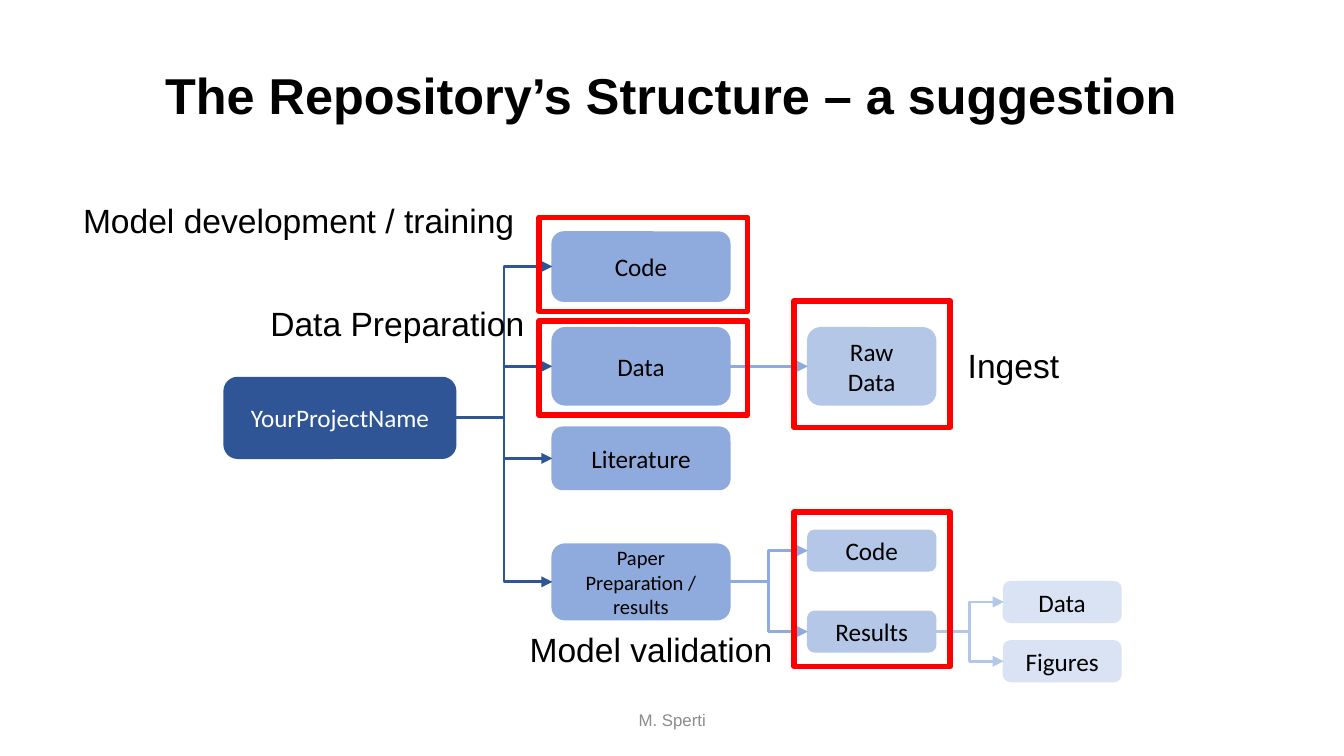
from lxml import etree
from pptx import Presentation
from pptx import util as u
from pptx.dml.color import RGBColor
from pptx.enum import shapes, text
from pptx.oxml.ns import qn

NAVY, BLUE, LIGHT, PALE = "2F5597", "8FAADC", "B4C7E7", "DAE3F3"
RED, BLACK, WHITE, GREY = "FF0000", "000000", "FFFFFF", "8C8C8C"

# Each level of the tree: left, width, colour
LEVELS = [
    (4.24, 4.37, NAVY),
    (10.44, 3.35, BLUE),
    (15.27, 2.41, LIGHT),
    (18.97, 2.21, PALE),
]

# key: label, level, top, height, parent
FOLDERS = {
    "project": ("YourProjectName", 0, 7.14, 1.52, None),
    "code": ("Code", 1, 4.39, 1.3, "project"),
    "data": ("Data", 1, 6.2, 1.45, "project"),
    "literature": ("Literature", 1, 8.08, 1.17, "project"),
    "paper": ("Paper Preparation / results", 1, 10.29, 1.42, "project"),
    "raw data": ("Raw Data", 2, 6.2, 1.45, "data"),
    "paper code": ("Code", 2, 10.03, 0.76, "paper"),
    "results": ("Results", 2, 11.56, 0.76, "paper"),
    "results data": ("Data", 3, 11, 0.76, "results"),
    "figures": ("Figures", 3, 12.12, 0.76, "results"),
}

HIGHLIGHTS = [
    (15.01, 5.69, 2.95, 2.39),
    (10.19, 6.07, 3.94, 1.78),
    (10.19, 4.11, 3.94, 1.78),
    (15.01, 9.68, 2.95, 2.92),
]

STAGES = [
    ("Ingest", 18.04, 6.4, 2.26),
    ("Data Preparation", 4.86, 5.6, 5.94),
    ("Model development / training", 1.32, 3.65, 9.45),
    ("Model validation", 9.76, 11.76, 5.2),
]


def rgb(colour):
    return RGBColor.from_string(colour)


def cm(*lengths):
    return [u.Cm(length) for length in lengths]


def write(shape, words, size=18, font="Arial", colour=BLACK, bold=False,
          align=text.PP_ALIGN.LEFT, anchor=text.MSO_ANCHOR.TOP):
    frame = shape.text_frame
    frame.word_wrap = True
    frame.vertical_anchor = anchor
    paragraph = frame.paragraphs[0]
    paragraph.alignment = align
    run = paragraph.add_run()
    run.text = words
    run.font.size = u.Pt(size)
    run.font.name = font
    run.font.bold = bold
    run.font.color.rgb = rgb(colour)


def add_label(slide, words, left, top, width, height=1.03, **style):
    box = slide.shapes.add_textbox(*cm(left, top, width, height))
    write(box, words, **style)


def add_folder(slide, label, level, top, height):
    left, width, colour = LEVELS[level]
    shape = slide.shapes.add_shape(
        shapes.MSO_SHAPE.ROUNDED_RECTANGLE, *cm(left, top, width, height))
    shape.shadow.inherit = False
    shape.fill.solid()
    shape.fill.fore_color.rgb = rgb(colour)
    shape.line.color.rgb = rgb(colour)
    shape.line.width = u.Pt(1)
    write(shape, label, font="Calibri",
          size=11 if len(label) > 20 else 13.5,
          colour=WHITE if colour == NAVY else BLACK,
          align=text.PP_ALIGN.CENTER, anchor=text.MSO_ANCHOR.MIDDLE)
    return shape


def add_branch(slide, parent, child, colour):
    """Arrow from the parent's right side to the child's left side."""
    level_with = parent.top == child.top and parent.height == child.height
    kind = shapes.MSO_CONNECTOR.STRAIGHT if level_with else shapes.MSO_CONNECTOR.ELBOW
    branch = slide.shapes.add_connector(kind, 0, 0, 0, 0)
    branch.begin_connect(parent, 3)
    branch.end_connect(child, 1)
    branch.line.color.rgb = rgb(colour)
    branch.line.width = u.Pt(1.5)
    etree.SubElement(branch.line._get_or_add_ln(), qn("a:tailEnd"), type="triangle")
    etree.SubElement(branch._element.spPr, qn("a:effectLst"))


def add_highlight(slide, *box):
    shape = slide.shapes.add_shape(shapes.MSO_SHAPE.RECTANGLE, *cm(*box))
    shape.shadow.inherit = False
    shape.fill.background()
    shape.line.color.rgb = rgb(RED)
    shape.line.width = u.Pt(3)


def add_tree(slide):
    folders = {key: add_folder(slide, *folder[:4])
               for key, folder in FOLDERS.items()}
    for key, (*_, parent) in FOLDERS.items():
        if parent:
            colour = LEVELS[FOLDERS[parent][1]][2]
            add_branch(slide, folders[parent], folders[key], colour)


def main():
    presentation = Presentation()
    presentation.slide_width, presentation.slide_height = cm(25.4, 14.29)
    slide = presentation.slides.add_slide(presentation.slide_layouts[6])

    add_label(slide, "The Repository’s Structure – a suggestion",
              1.32, 1.09, 22.73, 1.42, size=27, bold=True,
              align=text.PP_ALIGN.CENTER)
    add_tree(slide)
    add_label(slide, "M. Sperti", 8.41, 13.23, 8.59, 0.76, size=9, colour=GREY,
              align=text.PP_ALIGN.CENTER, anchor=text.MSO_ANCHOR.MIDDLE)
    for box in HIGHLIGHTS:
        add_highlight(slide, *box)
    for stage in STAGES:
        add_label(slide, *stage)

    presentation.save("out.pptx")


if __name__ == "__main__":
    main()
